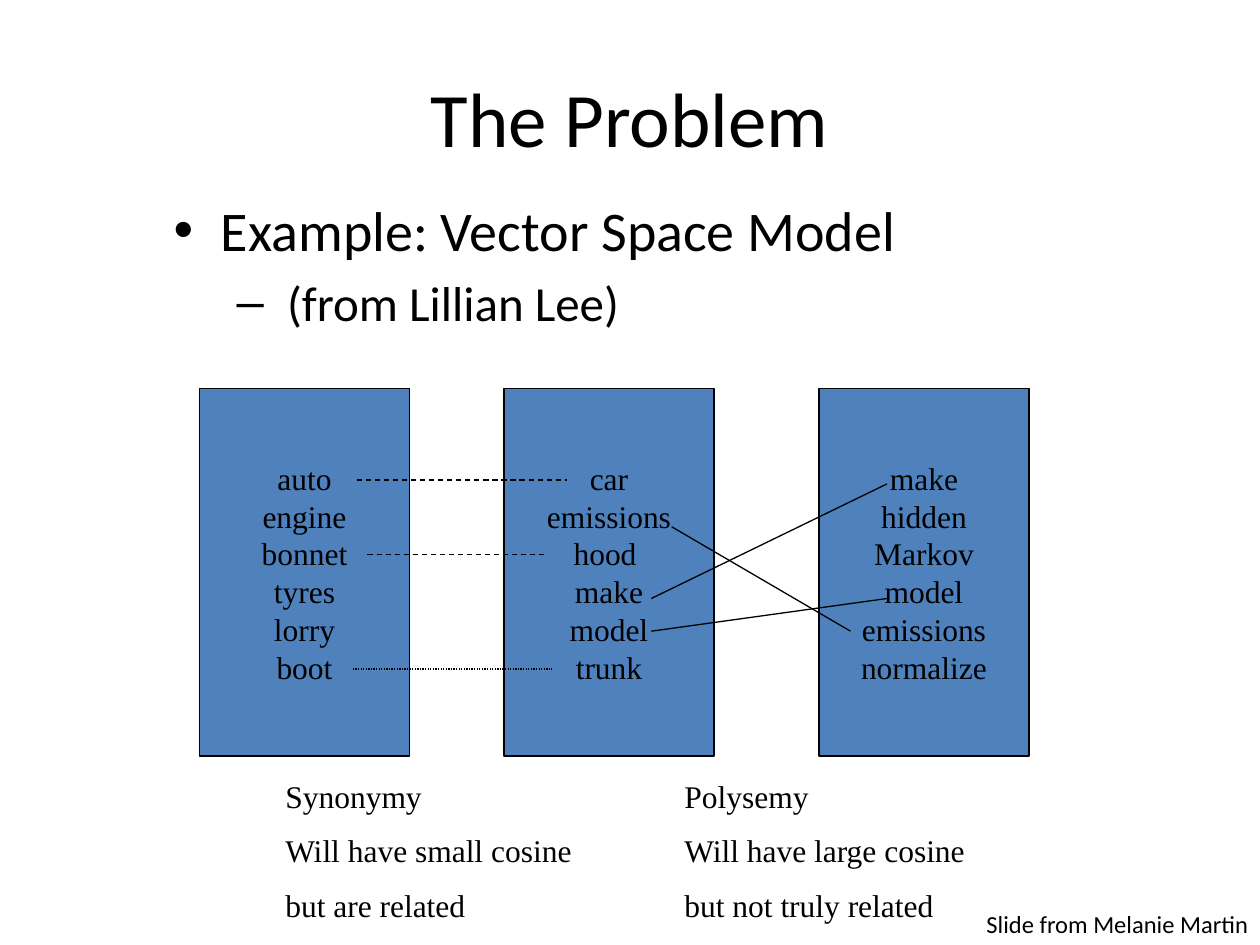
from lxml import etree
from pptx import Presentation
from pptx.dml.color import RGBColor
from pptx.enum.dml import MSO_LINE_DASH_STYLE as Dash
from pptx.enum.shapes import MSO_CONNECTOR_TYPE as Connector, MSO_SHAPE as Shape
from pptx.enum.text import MSO_ANCHOR as Anchor, PP_ALIGN as Align
from pptx.oxml.ns import qn
from pptx.util import Pt

BLACK = RGBColor(0x00, 0x00, 0x00)
BLUE = RGBColor(0x4F, 0x81, 0xBD)
SANS = "Calibri"
SERIF = "Times New Roman"

BOX_TOP, BOX_WIDTH, BOX_HEIGHT = 222, 120, 210
WORD_LISTS = [
    (114, ["auto", "engine", "bonnet", "tyres", "lorry", "boot"]),
    (288, ["car", "emissions", "hood ", "make", "model", "trunk"]),
    (468, ["make", "hidden", "Markov", "model", "emissions", "normalize"]),
]
SYNONYM_LINKS = [
    (204, 324, 274.3, Dash.DASH),
    (210, 312, 316.8, Dash.DASH),
    (201.6, 315.4, 382.3, Dash.ROUND_DOT),
]
POLYSEMY_LINKS = [
    ((506.9, 276.5), (372.2, 342)),
    ((506.9, 342), (372.2, 360.7)),
    ((486, 360.7), (383.8, 301)),
]
CAPTIONS = [
    (156, 180, ["Synonymy", "Will have small cosine", "but are related"]),
    (384, 210, ["Polysemy", "Will have large cosine", "but not truly related"]),
]


def write(frame, lines, size=18, font=SERIF, align=Align.LEFT, gap=0):
    """Fill a text frame with one paragraph per line, gap points apart."""
    for index, line in enumerate(lines):
        paragraph = frame.paragraphs[0] if index == 0 else frame.add_paragraph()
        paragraph.alignment = align
        paragraph.space_before = Pt(gap if index else 0)
        paragraph.font.size = Pt(size)
        run = paragraph.add_run()
        run.text = line
        run.font.size = Pt(size)
        run.font.name = font
        run.font.color.rgb = BLACK


def add_bullet(paragraph, symbol, margin, hanging):
    properties = paragraph._p.get_or_add_pPr()
    properties.set("marL", str(Pt(margin)))
    properties.set("indent", str(-Pt(hanging)))
    bullet_font = etree.Element(qn("a:buFont"), typeface="Arial")
    bullet = etree.Element(qn("a:buChar"), char=symbol)
    defaults = properties.find(qn("a:defRPr"))
    for element in (bullet_font, bullet):
        defaults.addprevious(element)


class SlideBuilder:
    def __init__(self, slide, line_color=BLACK, line_width=0.75):
        self.slide = slide
        self.line_color = line_color
        self.line_width = line_width

    def style_line(self, line):
        line.color.rgb = self.line_color
        line.width = Pt(self.line_width)

    def text(self, left, top, width, height, lines, anchor=Anchor.TOP,
             inset=3.6, wrap=True, **style):
        box = self.slide.shapes.add_textbox(Pt(left), Pt(top), Pt(width), Pt(height))
        frame = box.text_frame
        frame.word_wrap = wrap
        frame.vertical_anchor = anchor
        frame.margin_top = frame.margin_bottom = Pt(inset)
        write(frame, lines, **style)
        return frame

    def bullets(self, left, top, width, height, items):
        """Add items of (text, size, symbol, margin, hanging)."""
        frame = self.text(left, top, width, height, [item[0] for item in items],
                          font=SANS, gap=5.6)
        for paragraph, (_, size, symbol, margin, hanging) in zip(frame.paragraphs, items):
            add_bullet(paragraph, symbol, margin, hanging)
            paragraph.font.size = Pt(size)
            paragraph.runs[0].font.size = Pt(size)

    def word_box(self, left, words):
        box = self.slide.shapes.add_shape(
            Shape.RECTANGLE, Pt(left), Pt(BOX_TOP), Pt(BOX_WIDTH), Pt(BOX_HEIGHT))
        box.shadow.inherit = False
        box.fill.solid()
        box.fill.fore_color.rgb = BLUE
        self.style_line(box.line)
        box.text_frame.word_wrap = False
        box.text_frame.vertical_anchor = Anchor.MIDDLE
        write(box.text_frame, words, align=Align.CENTER)

    def link(self, start, end, dash=None):
        connector = self.slide.shapes.add_connector(
            Connector.STRAIGHT, *map(Pt, start), *map(Pt, end))
        self.style_line(connector.line)
        if dash is not None:
            connector.line.dash_style = dash
        etree.SubElement(connector._element.spPr, qn("a:effectLst"))


def main():
    presentation = Presentation()
    presentation.slide_width, presentation.slide_height = Pt(720), Pt(540)
    slide = presentation.slides.add_slide(presentation.slide_layouts[6])
    builder = SlideBuilder(slide)

    builder.text(36, 21.6, 648, 90, ["The Problem"], anchor=Anchor.MIDDLE,
                 size=44, font=SANS, align=Align.CENTER)
    builder.bullets(92.2, 108, 612, 372, [
        ("Example: Vector Space Model", 32, "•", 27, 27),
        (" (from Lillian Lee)", 28, "–", 58.5, 22.5),
    ])
    for left, words in WORD_LISTS:
        builder.word_box(left, words)
    for start, end, height, dash in SYNONYM_LINKS:
        builder.link((start, height), (end, height), dash)
    for start, end in POLYSEMY_LINKS:
        builder.link(start, end)
    for left, width, lines in CAPTIONS:
        builder.text(left, 444, width, 86.4, lines, inset=0, gap=9.5)
    builder.text(556.6, 516.2, 165.6, 41, ["Slide from Melanie Martin"],
                 wrap=False, size=14, font=SANS)
    presentation.save("out.pptx")


if __name__ == "__main__":
    main()
